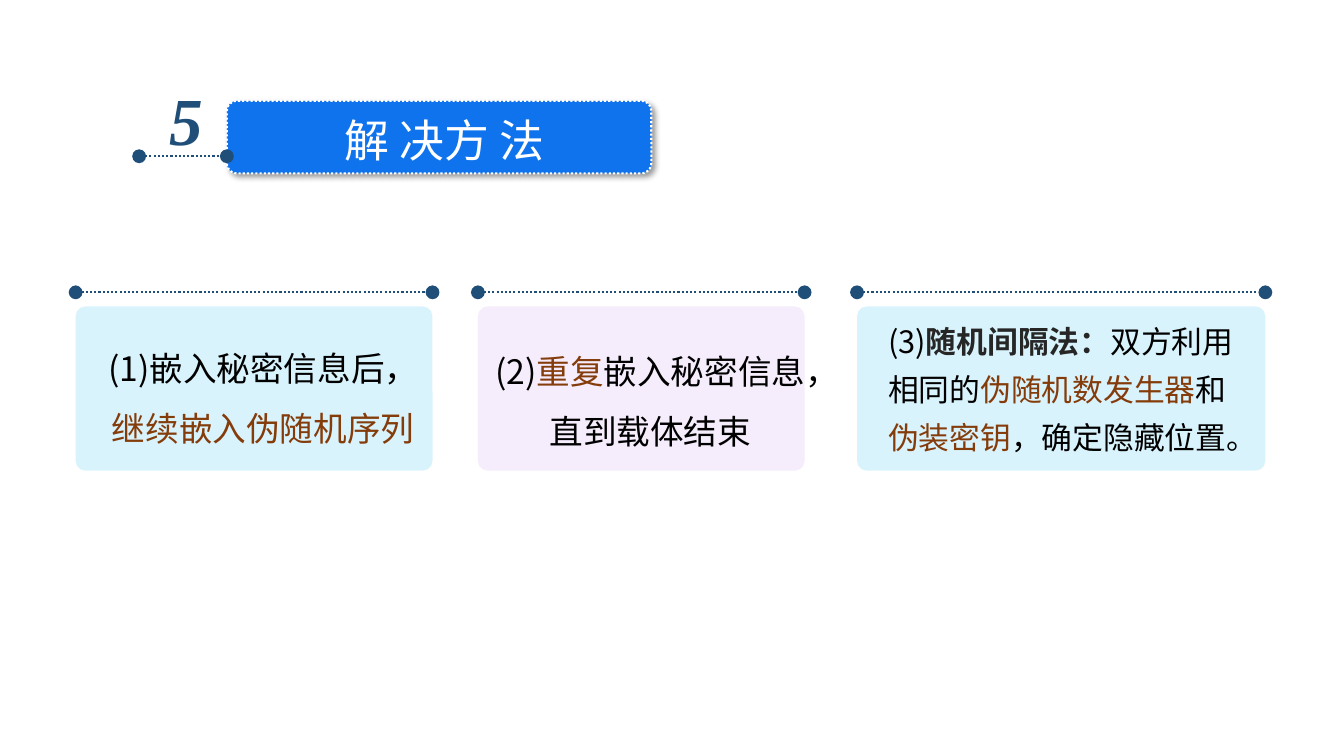
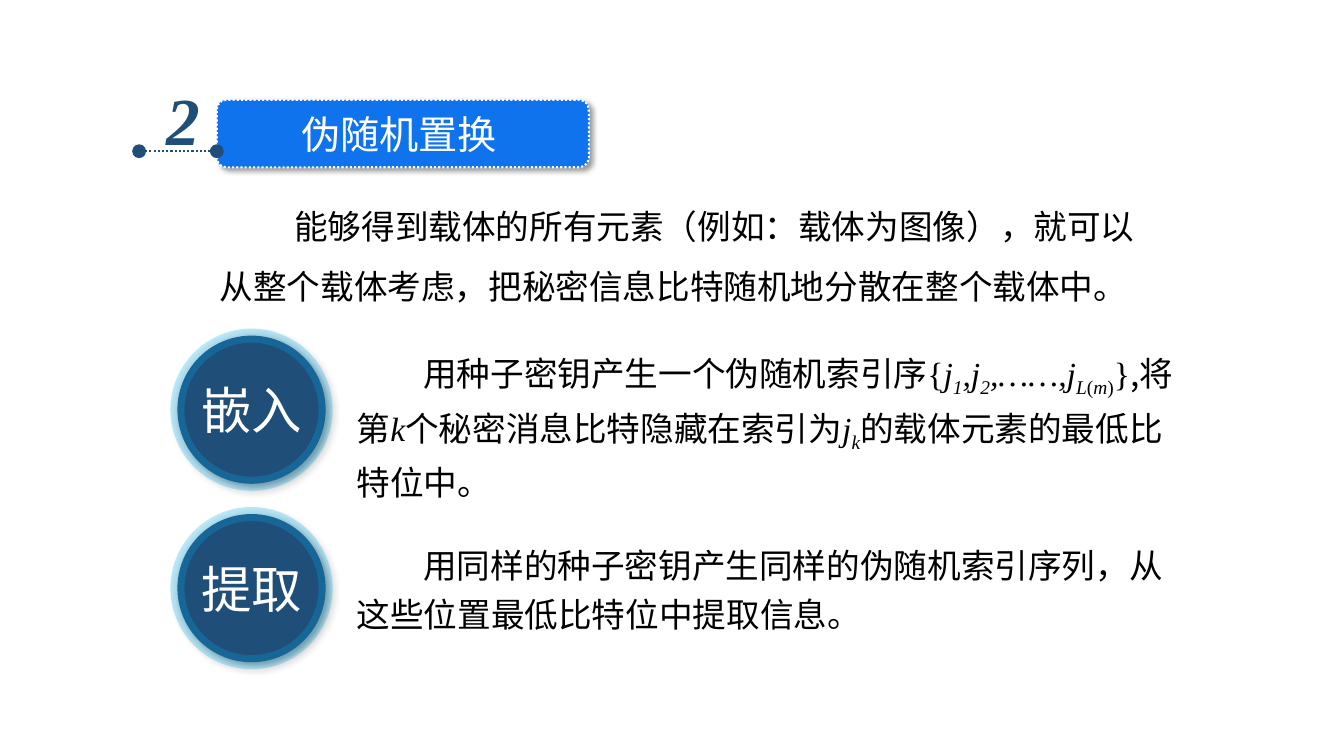
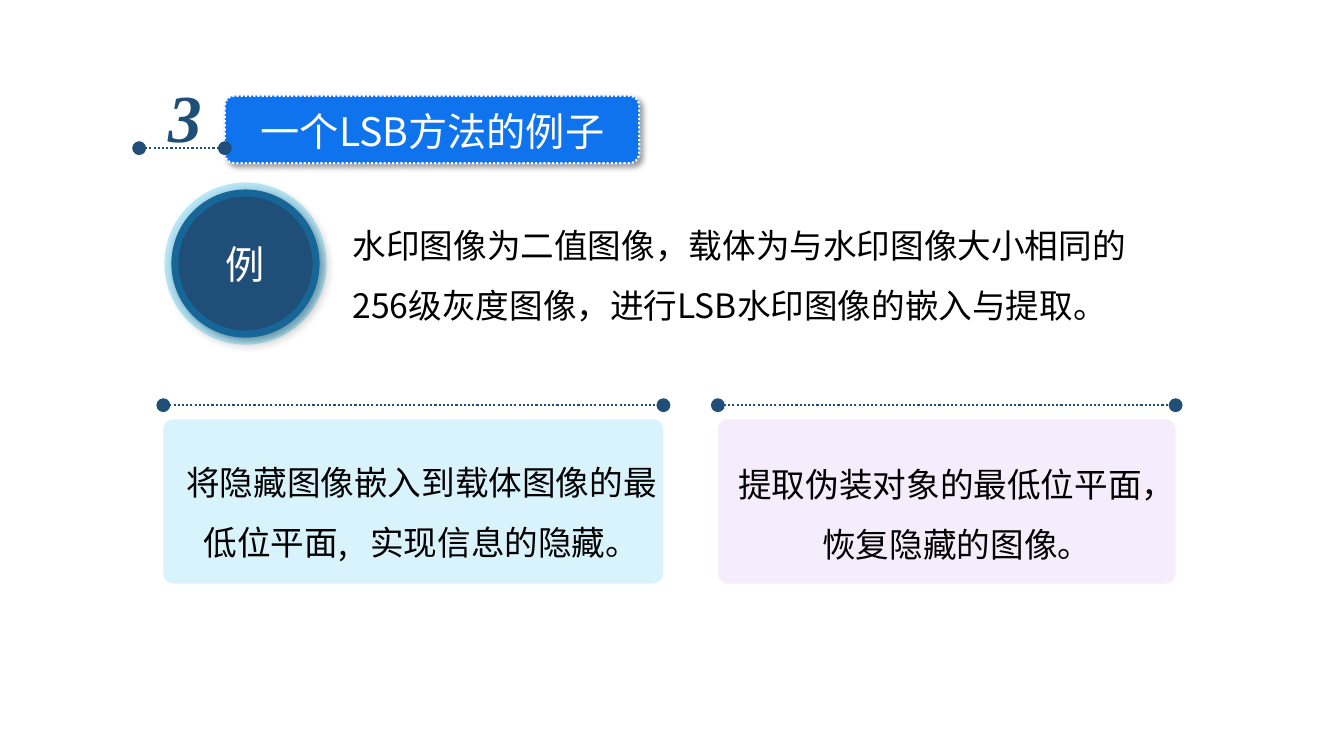
"""Build three slides on hiding information in image carriers."""
from lxml.etree import SubElement
from pptx import Presentation
from pptx.dml.color import RGBColor
from pptx.enum.dml import MSO_LINE
from pptx.enum.shapes import MSO_CONNECTOR, MSO_SHAPE
from pptx.enum.text import MSO_ANCHOR, MSO_AUTO_SIZE, PP_ALIGN
from pptx.oxml.ns import qn
from pptx.util import Pt

PX = 9144
COLORS = {"navy": "1F4E79", "banner": "0F73EE", "white": "FFFFFF", "black": "000000",
          "dark": "262626", "brown": "843C0B", "blue": "00B0F0", "violet": "E3C9F7"}
ALPHA = {"blue": 15, "violet": 34, "ring": 25, "shadow": 40}
SANS, SERIF = "Noto Sans CJK SC", "Times New Roman"
CARD_HEIGHT, RULE_GAP, CIRCLE_SIZE = 163, 14, 147


def write(box, place, spans, size, align=PP_ALIGN.LEFT, spacing=1.0, indent=0):
    """Place a box and fill it with one paragraph of (text, color, style letters) spans."""
    box.left, box.top, box.width, box.height = [value * PX for value in place]
    frame = box.text_frame
    frame.word_wrap = True
    frame.auto_size = MSO_AUTO_SIZE.NONE
    frame.vertical_anchor = MSO_ANCHOR.TOP
    para = frame.paragraphs[0]
    para.alignment = align
    para.line_spacing = spacing
    properties = para._p.get_or_add_pPr()
    properties.set("marL", "0")
    properties.set("indent", str(indent * PX))
    for text, color, style in spans:
        span = para.add_run()
        span.text = text
        font = span.font
        font.size = Pt(size)
        font.bold, font.italic = "b" in style, "i" in style
        font.color.rgb = RGBColor.from_string(COLORS[color])
        font.name = SERIF if "t" in style else SANS
        SubElement(font._element, qn("a:ea"), typeface=font.name)
        if "s" in style:
            font._element.set("baseline", "-25000")
        if "w" in style:
            font._element.set("spc", "1080")


def set_alpha(fill, percent):
    """Make a solid fill partly transparent."""
    color = fill._xPr.find(".//" + qn("a:srgbClr"))
    SubElement(color, qn("a:alpha"), val=str(percent * 1000))


SLIDES = [
    {"number": "5", "number_at": (158, 73), "title": "解 决方 法", "title_size": 32,
     "banner": (225, 100, 421, 72), "title_at": (246, 107, 390, 64), "rule_y": 155,
     "cards_top": 304,
     "cards": [(75, 354, "blue"), (474, 324, "violet"), (850, 405, "blue")],
     "circles": [],
     "texts": [
         ((84, 320, 354, 131), 24, PP_ALIGN.CENTER, 1.5, 0,
          [("(1)嵌入秘密信息后，", "black", ""), ("继续嵌入伪随机序列", "brown", "")]),
         ((480, 323, 330, 131), 24, PP_ALIGN.CENTER, 1.5, 0,
          [("(2)", "black", ""), ("重复", "brown", ""),
           ("嵌入秘密信息，直到载体结束", "black", "")]),
         ((871, 304, 384, 154), 22, PP_ALIGN.LEFT, 1.3, 0,
          [("(3)", "black", ""), ("随机间隔法：", "dark", "b"),
           ("双方利用相同的", "black", ""), ("伪随机数发生器", "brown", ""),
           ("和", "black", ""), ("伪装密钥", "brown", ""),
           ("，确定隐藏位置。", "black", "")])]},
    {"number": "2", "number_at": (155, 73), "title": "伪随机置换", "title_size": 28,
     "banner": (215, 99, 369, 67), "title_at": (225, 104, 342, 57), "rule_y": 150,
     "cards_top": 0, "cards": [],
     "circles": [(176, 333, "嵌入", 36), (176, 510, "提取", 36)],
     "texts": [
         ((208, 179, 948, 125), 24, PP_ALIGN.LEFT, 1.5, 74,
          [("能够得到载体的所有元素（例如：载体为图像），就可以从整个载体考虑，"
            "把秘密信息比特随机地分散在整个载体中。", "black", "")]),
         ((344, 336, 833, 155), 24, PP_ALIGN.LEFT, 1.2, 66,
          [("用种子密钥产生一个伪随机索引序", "black", ""), ("{", "black", "t"),
           ("j", "black", "ti"), ("1", "black", "tis"), (",j", "black", "ti"),
           ("2", "black", "tis"), (",……,j", "black", "ti"), ("L", "black", "tis"),
           ("(", "black", "ts"), ("m", "black", "tis"), (")", "black", "ts"),
           ("}", "black", "t"), (",将第", "black", ""), ("k", "black", "ti"),
           ("个秘密消息比特隐藏在索引为", "black", ""), ("j", "black", "ti"),
           ("k", "black", "tis"), ("的载体元素的最低比特位中。", "black", "")]),
         ((344, 528, 833, 104), 24, PP_ALIGN.LEFT, 1.2, 66,
          [("用同样的种子密钥产生同样的伪随机索引序列，"
            "从这些位置最低比特位中提取信息。", "black", "")])]},
    {"number": "3", "number_at": (157, 70), "title": "一个LSB方法的例子", "title_size": 28,
     "banner": (223, 95, 411, 67), "title_at": (239, 101, 380, 57), "rule_y": 147,
     "cards_top": 416, "cards": [(162, 496, "blue"), (712, 454, "violet")],
     "circles": [(170, 188, "例", 28)],
     "texts": [
         ((340, 198, 806, 125), 24, PP_ALIGN.LEFT, 1.5, 0,
          [("水印图像为二值图像，载体为与水印图像大小相同的256级灰度图像，"
            "进行LSB水印图像的嵌入与提取。", "black", "")]),
         ((170, 433, 496, 125), 24, PP_ALIGN.CENTER, 1.5, 0,
          [("将隐藏图像嵌入到载体图像的最低位平面,", "black", ""), (" ", "black", "w"),
           ("实现信息的隐藏。", "black", "")]),
         ((718, 435, 462, 125), 24, PP_ALIGN.CENTER, 1.5, 0,
          [("提取伪装对象的最低位平面，恢复隐藏的图像。", "black", "")])]},
]

deck = Presentation()
deck.slide_width, deck.slide_height = 1333 * PX, 750 * PX

for content in SLIDES:
    page = deck.slides.add_slide(deck.slide_layouts[5])
    shapes = page.shapes
    left, top, width, height = [value * PX for value in content["banner"]]
    banner = shapes.add_shape(MSO_SHAPE.ROUNDED_RECTANGLE, left, top, width, height)
    banner.adjustments[0] = 0.14
    banner.fill.solid()
    banner.fill.fore_color.rgb = RGBColor.from_string(COLORS["banner"])
    banner.line.color.rgb = RGBColor.from_string(COLORS["white"])
    banner.line.width = Pt(1.5)
    banner.line.dash_style = MSO_LINE.ROUND_DOT
    raised = [banner]

    title = shapes.title
    shapes._spTree.append(title._element)
    write(title, content["title_at"], [(content["title"], "white", "")],
          content["title_size"], PP_ALIGN.CENTER)
    number = shapes.add_textbox(0, 0, 0, 0)
    write(number, (*content["number_at"], 60, 91), [(content["number"], "navy", "tbi")], 48)

    rules = [(138, content["banner"][0], content["rule_y"])]
    for left, width, color in content["cards"]:
        top = content["cards_top"]
        rules.append((left, left + width, top - RULE_GAP))
        card = shapes.add_shape(MSO_SHAPE.ROUNDED_RECTANGLE, left * PX, top * PX,
                                width * PX, CARD_HEIGHT * PX)
        card.adjustments[0] = 0.06
        card.shadow.inherit = False
        card.fill.solid()
        card.fill.fore_color.rgb = RGBColor.from_string(COLORS[color])
        set_alpha(card.fill, ALPHA[color])
        card.line.fill.background()

    for start, end, height in rules:
        rule = shapes.add_connector(MSO_CONNECTOR.STRAIGHT, start * PX, height * PX,
                                    end * PX, height * PX)
        rule.line.color.rgb = RGBColor.from_string(COLORS["navy"])
        rule.line.width = Pt(1.5)
        rule.line.dash_style = MSO_LINE.ROUND_DOT
        for tip in ("a:headEnd", "a:tailEnd"):
            SubElement(rule.line._ln, qn(tip), type="oval", w="lg", len="lg")
        SubElement(rule._element.spPr, qn("a:effectLst"))

    for left, top, label, size in content["circles"]:
        circle = shapes.add_shape(MSO_SHAPE.OVAL, 0, 0, 0, 0)
        circle.fill.solid()
        circle.fill.fore_color.rgb = RGBColor.from_string(COLORS["navy"])
        circle.line.color.rgb = RGBColor.from_string(COLORS["blue"])
        circle.line.width = Pt(10)
        set_alpha(circle.line.fill, ALPHA["ring"])
        write(circle, (left, top, CIRCLE_SIZE, CIRCLE_SIZE), [(label, "white", "")],
              size, PP_ALIGN.CENTER)
        circle.text_frame.vertical_anchor = MSO_ANCHOR.MIDDLE
        circle.text_frame.word_wrap = False
        raised.append(circle)

    for place, size, align, spacing, indent, spans in content["texts"]:
        write(shapes.add_textbox(0, 0, 0, 0), place, spans, size, align, spacing, indent)

    for shape in raised:
        shape.shadow.inherit = False
        effects = shape._element.spPr.find(qn("a:effectLst"))
        shadow = SubElement(effects, qn("a:outerShdw"), blurRad=str(Pt(4)), dist=str(Pt(3)),
                            dir="2700000", algn="tl", rotWithShape="0")
        tint = SubElement(shadow, qn("a:srgbClr"), val=COLORS["black"])
        SubElement(tint, qn("a:alpha"), val=str(ALPHA["shadow"] * 1000))

deck.save("out.pptx")
